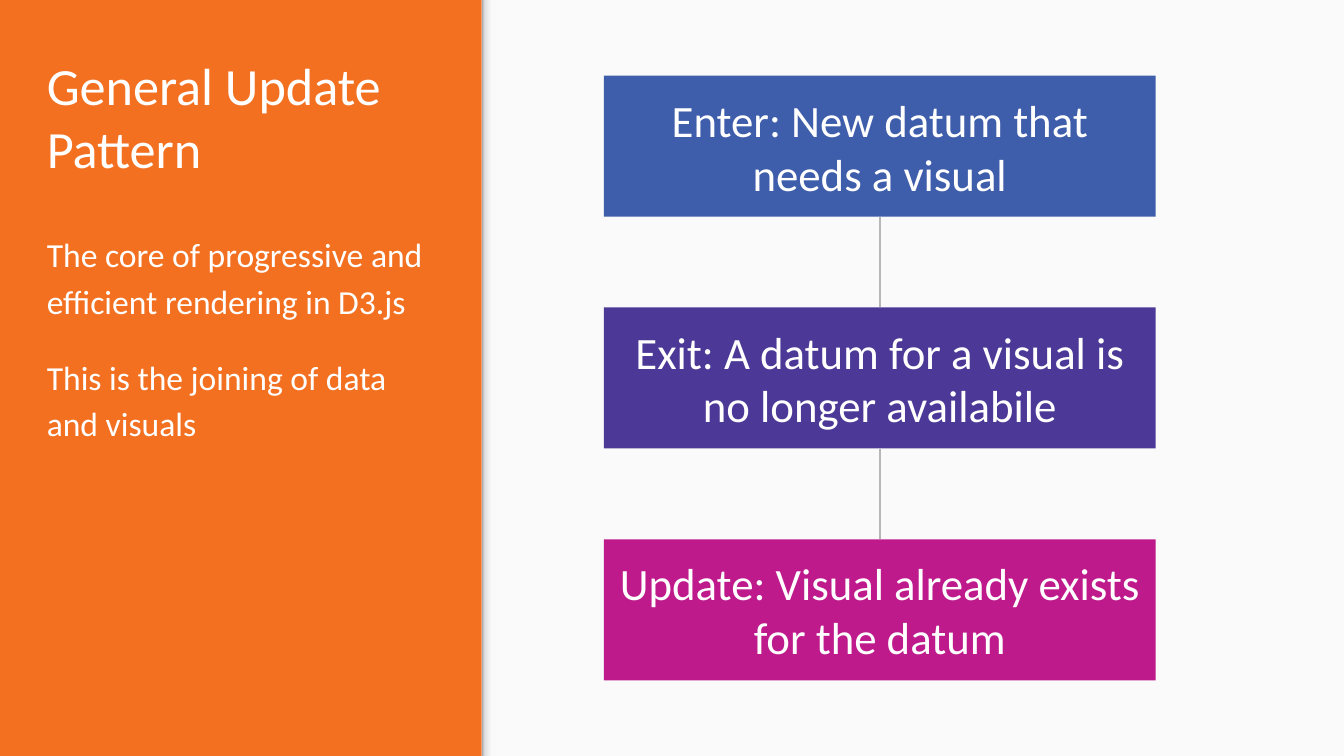
"""Build the General Update Pattern slide."""
from copy import deepcopy

from pptx import Presentation
from pptx.dml.color import RGBColor
from pptx.enum import shapes, text
from pptx.oxml.ns import qn
from pptx.util import Pt

WIDTH, HEIGHT = 720, 405
PANEL_LEFT = 258
CARD_LEFT, CARD_TOP, CARD_W, CARD_H, CARD_STEP = 323.5, 40.5, 295.7, 75.6, 124.2
CARDS = [
    ("Enter: New datum that needs a visual", "3E5DAA"),
    ("Exit: A datum for a visual is no longer availabile", "4C3896"),
    ("Update: Visual already exists for the datum", "BE1A8C"),
]
EDGE_STOPS = [(0, "999999"), (0.2, "DEDEDE"), (0.64, "F9F9F9"), (1, "F9F9F9")]


def rgb(value):
    return RGBColor.from_string(value)


def add_rect(s, x, y, w, h, color):
    sp = s.shapes.add_shape(shapes.MSO_SHAPE.RECTANGLE, Pt(x), Pt(y), Pt(w), Pt(h))
    sp.shadow.inherit = False
    sp.fill.solid()
    sp.fill.fore_color.rgb = rgb(color)
    sp.line.fill.background()
    return sp


def add_edge(s, x, w):
    sp = add_rect(s, x, 0, w, HEIGHT, "F9F9F9")
    sp.fill.gradient()
    sp.fill.gradient_angle = 0
    stops = next(sp._element.iter(qn("a:gsLst")))
    while len(stops) < len(EDGE_STOPS):
        stops.append(deepcopy(stops[0]))
    for stop, (position, color) in zip(sp.fill.gradient_stops, EDGE_STOPS):
        stop.position = position
        stop.color.rgb = rgb(color)


def fill_text(sp, paragraphs, size, anchor, align, spacing=None, after=None):
    tf = sp.text_frame
    tf.word_wrap = True
    tf.vertical_anchor = anchor
    tf.margin_left = tf.margin_right = tf.margin_top = tf.margin_bottom = Pt(7.2)
    for i, content in enumerate(paragraphs):
        p = tf.add_paragraph() if i else tf.paragraphs[0]
        p.alignment = align
        p.line_spacing = spacing
        p.space_after = after
        r = p.add_run()
        r.text = content
        r.font.name = "Calibri"
        r.font.size = Pt(size)
        r.font.color.rgb = rgb("FFFFFF")


def add_text(s, y, h, paragraphs, size, anchor, spacing=None, after=None):
    sp = s.shapes.add_textbox(Pt(18), Pt(y), Pt(221), Pt(h))
    fill_text(sp, paragraphs, size, anchor, text.PP_ALIGN.LEFT, spacing, after)


def add_card(s, y, label, color):
    sp = add_rect(s, CARD_LEFT, y, CARD_W, CARD_H, color)
    fill_text(sp, [label], 24, text.MSO_ANCHOR.MIDDLE, text.PP_ALIGN.CENTER)


def add_link(s, x, top, bottom):
    line = s.shapes.add_connector(
        shapes.MSO_CONNECTOR.STRAIGHT, Pt(x), Pt(top), Pt(x), Pt(bottom))
    line.line.color.rgb = rgb("B7B7B7")
    line.line.width = Pt(0.75)
    spPr = line._element.spPr
    spPr.append(spPr.makeelement(qn("a:effectLst"), {}))


def main():
    prs = Presentation()
    prs.slide_width, prs.slide_height = Pt(WIDTH), Pt(HEIGHT)
    s = prs.slides.add_slide(prs.slide_layouts[6])
    s.background.fill.solid()
    s.background.fill.fore_color.rgb = rgb("F37021")

    add_rect(s, PANEL_LEFT, 0, WIDTH - PANEL_LEFT, HEIGHT, "FAFAFA")
    add_edge(s, PANEL_LEFT, 8.5)
    add_text(s, 28, 75, ["General Update Pattern"], 28, text.MSO_ANCHOR.BOTTOM)
    add_text(s, 115, 249, ["The core of progressive and efficient rendering in D3.js",
                           "This is the joining of data and visuals"],
             18, text.MSO_ANCHOR.TOP, 1.15, Pt(16))

    for i, (label, color) in enumerate(CARDS):
        y = CARD_TOP + i * CARD_STEP
        if i:
            add_link(s, CARD_LEFT + CARD_W / 2, y - CARD_STEP + CARD_H, y)
        add_card(s, y, label, color)

    prs.save("out.pptx")


if __name__ == "__main__":
    main()
